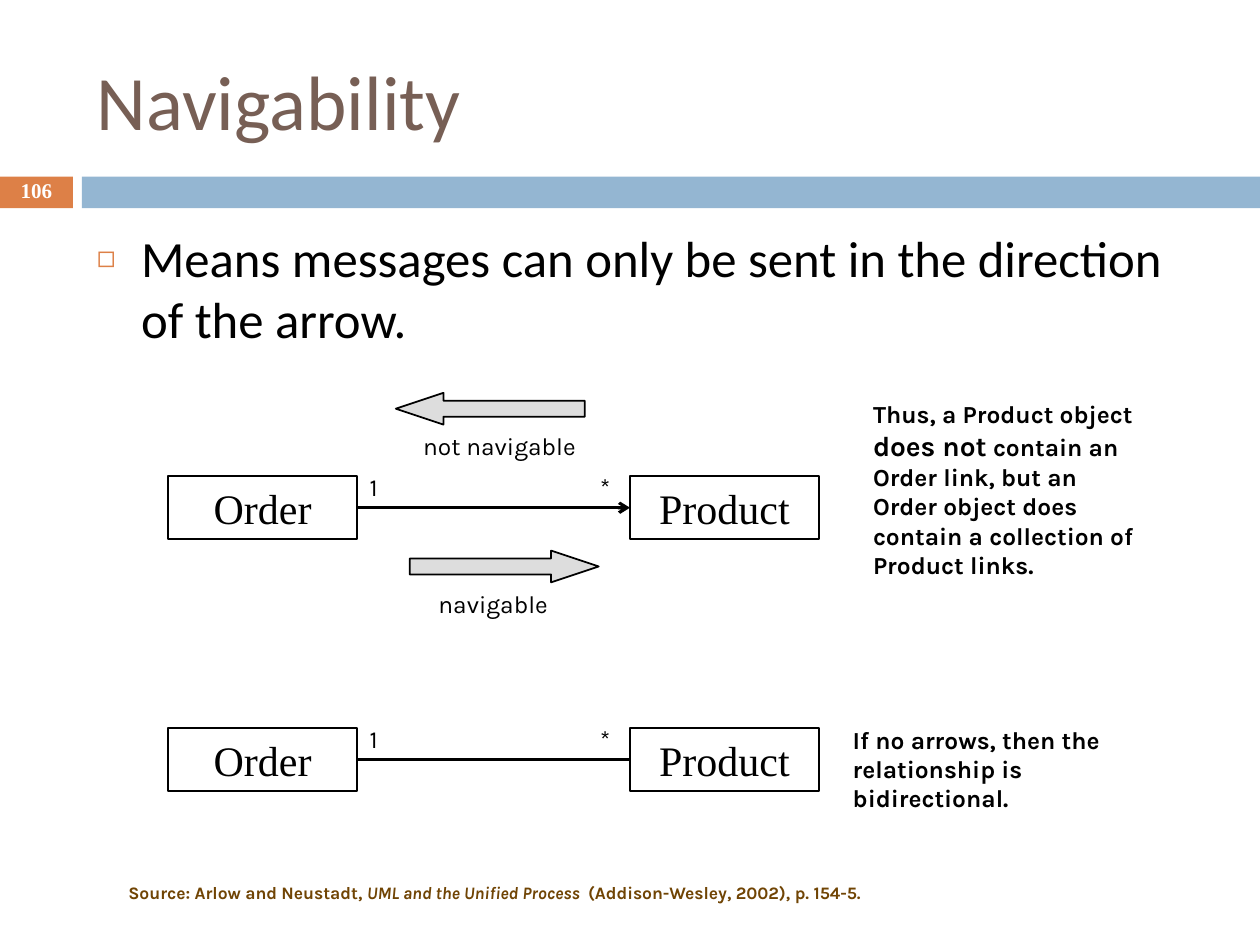
from dataclasses import dataclass

from lxml.etree import SubElement
from pptx import Presentation
from pptx.dml.color import RGBColor
from pptx.enum.shapes import MSO_CONNECTOR, MSO_SHAPE
from pptx.enum.text import MSO_ANCHOR, MSO_AUTO_SIZE, PP_ALIGN
from pptx.oxml.ns import qn
from pptx.util import Cm, Pt

BLACK, WHITE = "000000", "FFFFFF"
ORANGE, BLUE, GREY = "DD8047", "94B6D2", "DDDDDD"
TITLE, CITATION = "775F55", "704404"
HEADING, BODY, SERIF = "Calibri", "Karla", "Times New Roman"

ORDER_X, PRODUCT_X = 3.39, 12.7
CLASS_W, CLASS_H = 3.81, 1.27


@dataclass
class Association:
    """Order and Product joined by a line; y is the top of the boxes."""
    y: float
    arrow: bool


@dataclass
class Direction:
    """A block arrow with its caption below."""
    shape: MSO_SHAPE
    x: float
    y: float
    caption: str
    caption_x: float
    caption_w: float


@dataclass
class Note:
    x: float
    y: float
    h: float
    runs: list


ASSOCIATIONS = [Association(9.6, True), Association(14.68, False)]
DIRECTIONS = [
    Direction(MSO_SHAPE.LEFT_ARROW, 7.98, 7.92, "not navigable", 8.28, 3.68),
    Direction(MSO_SHAPE.RIGHT_ARROW, 8.26, 11.1, "navigable", 8.59, 2.77),
]
NOTES = [
    Note(17.35, 7.92, 4.5, [
        ("Thus, a Product object ", {}),
        ("does not", {"size": 16}),
        (" contain an Order link, but an Order object does contain "
         "a collection of Product links.", {}),
    ]),
    Note(16.94, 14.48, 2.03, [
        ("If no arrows, then the relationship is bidirectional.", {}),
    ]),
]
SOURCE = [
    ("Source: Arlow and Neustadt, ", {}),
    ("UML and the Unified Process  ", {"italic": True}),
    ("(Addison-Wesley, 2002), p. 154-5.", {}),
]


def rgb(color: str) -> RGBColor:
    return RGBColor.from_string(color)


def write(p, text: str, *, size: float = 14, font: str = BODY, color: str = BLACK,
          bold: bool = False, italic: bool = False) -> None:
    """Add one formatted run to a paragraph."""
    r = p.add_run()
    r.text = text
    r.font.size, r.font.name = Pt(size), font
    r.font.bold, r.font.italic = bold, italic
    r.font.color.rgb = rgb(color)


def place(sp, x: float, y: float, w: float, h: float) -> None:
    sp.left, sp.top, sp.width, sp.height = Cm(x), Cm(y), Cm(w), Cm(h)


def add_text(s, x: float, y: float, w: float, h: float, runs: list, *, wrap: bool = True,
             anchor=MSO_ANCHOR.TOP, align=PP_ALIGN.LEFT, **style):
    """Add a text box; each run may override the common style."""
    tf = s.shapes.add_textbox(Cm(x), Cm(y), Cm(w), Cm(h)).text_frame
    tf.word_wrap, tf.vertical_anchor = wrap, anchor
    p = tf.paragraphs[0]
    p.alignment = align
    for text, own in runs:
        write(p, text, **{**style, **own})
    return p


def add_label(s, x: float, y: float, w: float, text: str) -> None:
    add_text(s, x, y, w, 0.86, [(text, {})], wrap=False)


def add_block(s, kind, x: float, y: float, w: float, h: float, *,
              fill: str = "", line: str = ""):
    sp = s.shapes.add_shape(kind, Cm(x), Cm(y), Cm(w), Cm(h))
    sp.shadow.inherit = False
    if fill:
        sp.fill.solid()
        sp.fill.fore_color.rgb = rgb(fill)
    else:
        sp.fill.background()
    if line:
        sp.line.color.rgb, sp.line.width = rgb(line), Pt(1)
    else:
        sp.line.fill.background()
    return sp


def add_class(s, x: float, y: float, name: str) -> None:
    sp = add_block(s, MSO_SHAPE.RECTANGLE, x, y, CLASS_W, CLASS_H, line=BLACK)
    tf = sp.text_frame
    tf.vertical_anchor = MSO_ANCHOR.TOP
    p = tf.paragraphs[0]
    p.alignment = PP_ALIGN.CENTER
    write(p, name, size=24, font=SERIF)


def add_association(s, a: Association) -> None:
    add_class(s, ORDER_X, a.y, "Order")
    add_class(s, PRODUCT_X, a.y, "Product")
    start, mid = ORDER_X + CLASS_W, a.y + CLASS_H / 2
    link = s.shapes.add_connector(MSO_CONNECTOR.STRAIGHT, Cm(start), Cm(mid),
                                  Cm(PRODUCT_X), Cm(mid))
    link.line.color.rgb, link.line.width = rgb(BLACK), Pt(1.75)
    if a.arrow:
        SubElement(link.line._get_or_add_ln(), qn("a:tailEnd"), type="arrow")
    SubElement(link._element.spPr, qn("a:effectLst"))
    add_label(s, start, a.y - 0.2, 0.79, "1")
    add_label(s, PRODUCT_X - 0.85, a.y - 0.2, 0.79, "*")


def add_direction(s, d: Direction) -> None:
    sp = add_block(s, d.shape, d.x, d.y, 3.81, 0.64, fill=GREY, line=BLACK)
    sp.adjustments[0], sp.adjustments[1] = 0.5, 1.5
    add_label(s, d.caption_x, d.y + 0.64, d.caption_w, d.caption)


def fill_placeholders(s) -> None:
    title = s.shapes.title
    place(title, 1.7, 0.64, 22.66, 2.74)
    title.text_frame.vertical_anchor = MSO_ANCHOR.MIDDLE
    p = title.text_frame.paragraphs[0]
    p.alignment = PP_ALIGN.LEFT
    write(p, "Navigability", size=44, font=HEADING, color=TITLE)

    body = s.placeholders[1]
    place(body, 1.7, 4.45, 22.66, 12.5)
    body.text_frame.auto_size = MSO_AUTO_SIZE.NONE
    p = body.text_frame.paragraphs[0]
    p.space_before = Pt(0)
    pPr = p._p.get_or_add_pPr()
    pPr.set("marL", str(Cm(0.89)))
    pPr.set("indent", str(-Cm(0.89)))
    SubElement(SubElement(pPr, qn("a:buClr")), qn("a:srgbClr"), val=ORANGE)
    SubElement(pPr, qn("a:buSzPct"), val="60000")
    SubElement(pPr, qn("a:buChar"), char="◻")
    write(p, "Means messages can only be sent in the direction of the arrow.",
          size=29, font=HEADING)


def main() -> None:
    prs = Presentation()
    prs.slide_width, prs.slide_height = Cm(25.4), Cm(19.05)
    s = prs.slides.add_slide(prs.slide_layouts[1])

    # Band and slide number
    add_block(s, MSO_SHAPE.RECTANGLE, 0, 3.56, 1.47, 0.64, fill=ORANGE)
    add_block(s, MSO_SHAPE.RECTANGLE, 1.65, 3.56, 23.75, 0.64, fill=BLUE)
    p = add_text(s, 0, 3.53, 1.47, 0.69, [("106", {})], anchor=MSO_ANCHOR.MIDDLE,
                 align=PP_ALIGN.CENTER, size=12, font=SERIF, color=WHITE, bold=True)
    p.line_spacing = 0.8

    # Title and bullet
    fill_placeholders(s)

    # Diagrams
    for a in ASSOCIATIONS:
        add_association(s, a)
    for d in DIRECTIONS:
        add_direction(s, d)

    # Remarks and citation
    for n in NOTES:
        add_text(s, n.x, n.y, 5.92, n.h, n.runs, bold=True)
    add_text(s, 2.34, 17.58, 21.39, 0.84, SOURCE, anchor=MSO_ANCHOR.MIDDLE,
             size=10, color=CITATION, bold=True)

    prs.save("out.pptx")


if __name__ == "__main__":
    main()
